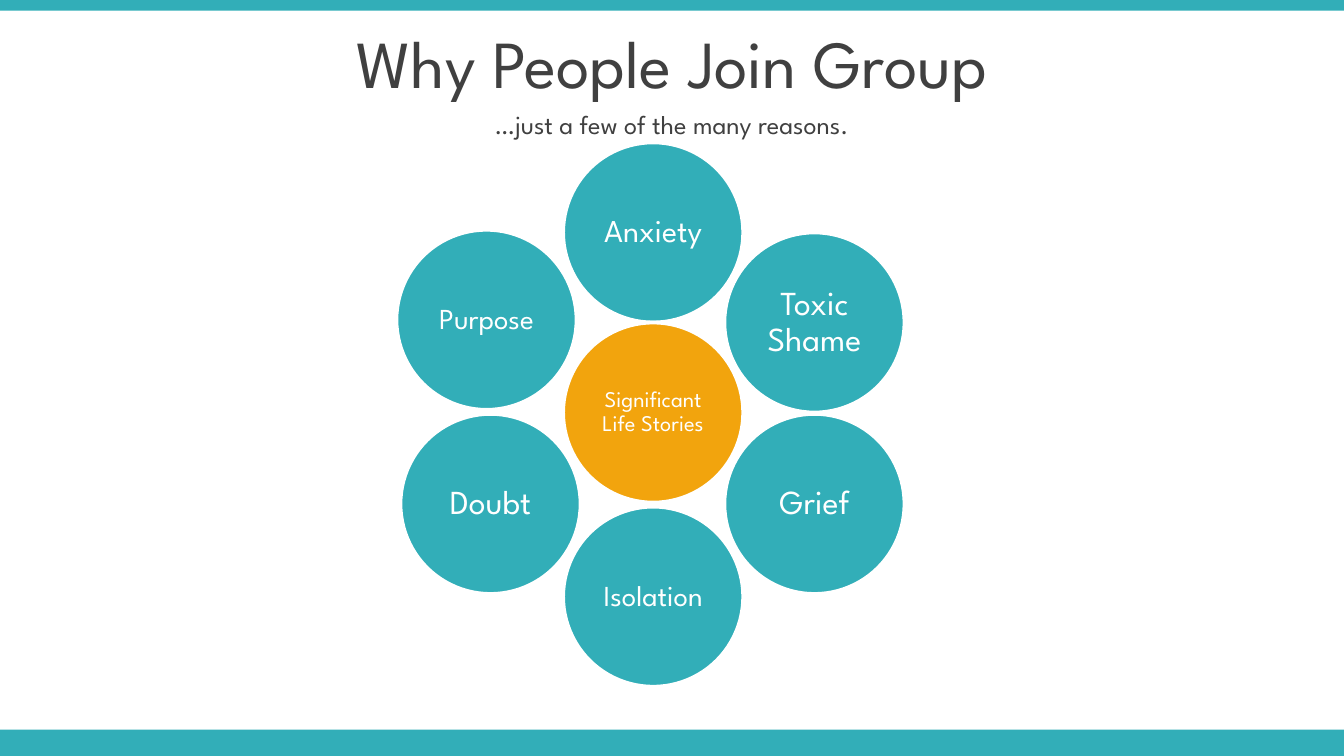
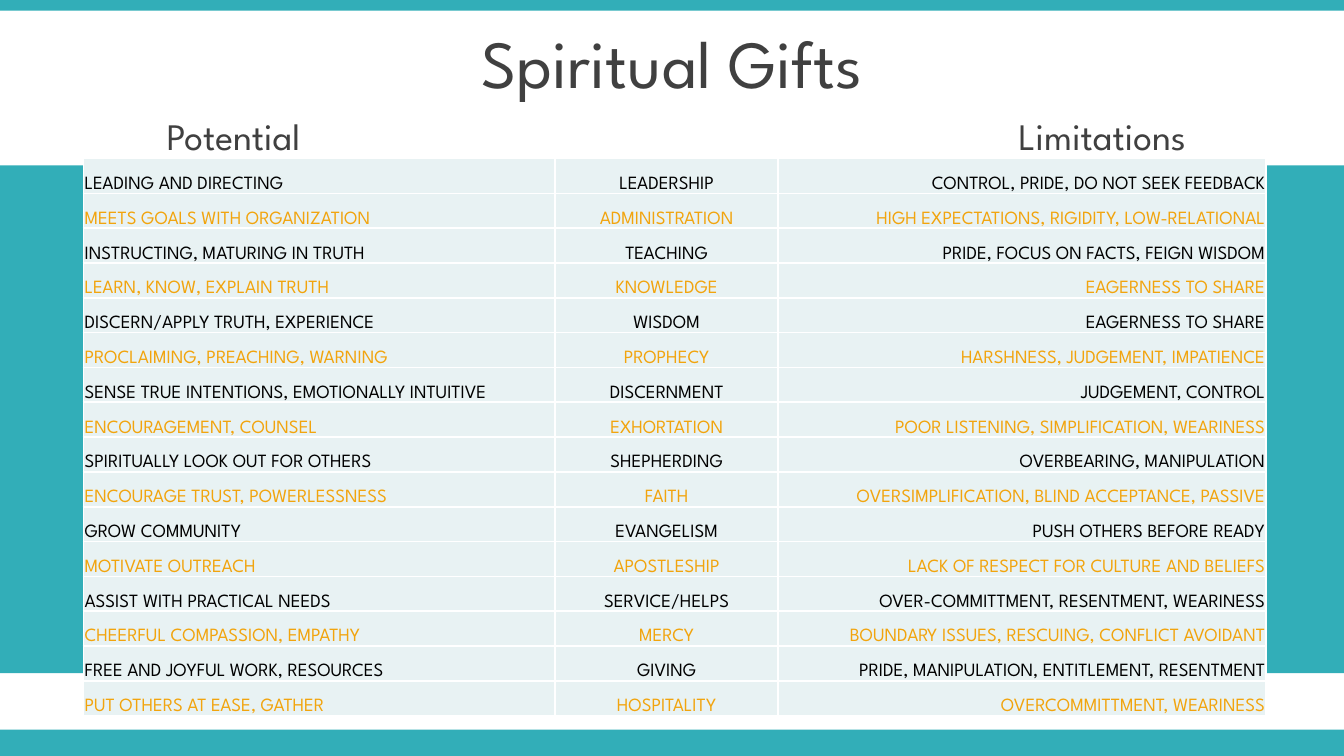
from dataclasses import dataclass

from lxml.etree import SubElement
from pptx import Presentation
from pptx.dml.color import RGBColor
from pptx.enum.shapes import MSO_SHAPE as Preset
from pptx.enum.text import MSO_ANCHOR as Anchor, MSO_AUTO_SIZE as AutoSize, PP_ALIGN as Align
from pptx.oxml.ns import qn
from pptx.util import Inches, Pt


@dataclass(frozen=True)
class Theme:
    font: str = "League Spartan"
    teal: str = "32AEB8"
    orange: str = "F2A40D"
    gray: str = "404040"
    black: str = "000000"
    white: str = "FFFFFF"
    pale: str = "E8F2F3"
    title_size: float = 36
    heading_size: float = 20
    subtitle_size: float = 14
    table_size: float = 10


THEME = Theme()
WIDTH = 10
HEIGHT = WIDTH * 9 / 16
CIRCLE_SIZE = 1.34

REASONS = [
    ("Anxiety", 4.19, 1.06, 17, THEME.teal),
    ("Toxic Shame", 5.39, 1.73, 18, THEME.teal),
    ("Grief", 5.39, 3.08, 18, THEME.teal),
    ("Doubt", 2.98, 3.08, 18, THEME.teal),
    ("Purpose", 2.95, 1.71, 15.5, THEME.teal),
    ("Significant Life Stories", 4.19, 2.4, 12, THEME.orange),
    ("Isolation", 4.19, 3.77, 15.5, THEME.teal),
]

GIFTS = [
    ("LEADING AND DIRECTING", "LEADERSHIP", "CONTROL, PRIDE, DO NOT SEEK FEEDBACK"),
    ("MEETS GOALS WITH ORGANIZATION", "ADMINISTRATION", "HIGH EXPECTATIONS, RIGIDITY, LOW-RELATIONAL"),
    ("INSTRUCTING, MATURING IN TRUTH", "TEACHING", "PRIDE, FOCUS ON FACTS, FEIGN WISDOM"),
    ("LEARN, KNOW, EXPLAIN TRUTH", "KNOWLEDGE", "EAGERNESS TO SHARE"),
    ("DISCERN/APPLY TRUTH, EXPERIENCE", "WISDOM", "EAGERNESS TO SHARE"),
    ("PROCLAIMING, PREACHING, WARNING", "PROPHECY", "HARSHNESS, JUDGEMENT, IMPATIENCE"),
    ("SENSE TRUE INTENTIONS, EMOTIONALLY INTUITIVE", "DISCERNMENT", "JUDGEMENT, CONTROL"),
    ("ENCOURAGEMENT, COUNSEL", "EXHORTATION", "POOR LISTENING, SIMPLIFICATION, WEARINESS"),
    ("SPIRITUALLY LOOK OUT FOR OTHERS", "SHEPHERDING", "OVERBEARING, MANIPULATION"),
    ("ENCOURAGE TRUST, POWERLESSNESS", "FAITH", "OVERSIMPLIFICATION, BLIND ACCEPTANCE, PASSIVE"),
    ("GROW COMMUNITY", "EVANGELISM", "PUSH OTHERS BEFORE READY"),
    ("MOTIVATE OUTREACH", "APOSTLESHIP", "LACK OF RESPECT FOR CULTURE AND BELIEFS"),
    ("ASSIST WITH PRACTICAL NEEDS", "SERVICE/HELPS", "OVER-COMMITTMENT, RESENTMENT, WEARINESS"),
    ("CHEERFUL COMPASSION, EMPATHY", "MERCY", "BOUNDARY ISSUES, RESCUING, CONFLICT AVOIDANT"),
    ("FREE AND JOYFUL WORK, RESOURCES", "GIVING", "PRIDE, MANIPULATION, ENTITLEMENT, RESENTMENT"),
    ("PUT OTHERS AT EASE, GATHER", "HOSPITALITY", "OVERCOMMITTMENT, WEARINESS"),
]


def set_attributes(target, **values):
    for name, value in values.items():
        setattr(target, name, value)


def box(left, top, width, height):
    return [Inches(length) for length in (left, top, width, height)]


def write(frame, text, size, color, align=Align.CENTER, line_spacing=None):
    paragraph = frame.paragraphs[0]
    set_attributes(paragraph, alignment=align, line_spacing=line_spacing)
    run = paragraph.add_run()
    run.text = text
    set_attributes(run.font, name=THEME.font, size=Pt(size))
    run.font.color.rgb = RGBColor.from_string(color)


def add_filled(slide, preset, place, color):
    shape = slide.shapes.add_shape(preset, *box(*place))
    shape.shadow.inherit = False
    shape.fill.solid()
    shape.fill.fore_color.rgb = RGBColor.from_string(color)
    shape.line.fill.background()
    return shape


def add_master_bands(slide, master):
    for place in ((0, 5.43, WIDTH, 0.2), (0, 0, WIDTH, 0.08)):
        band = add_filled(slide, Preset.RECTANGLE, place, THEME.teal)
        master.shapes.element.append(band.element)


def add_titled_slide(presentation, text):
    slide = presentation.slides.add_slide(presentation.slide_layouts[5])
    title = slide.shapes.title
    left, top, width, height = box(0, 0.14, WIDTH, 0.63)
    set_attributes(title, left=left, top=top, width=width, height=height)
    set_attributes(title.text_frame, vertical_anchor=Anchor.MIDDLE, auto_size=AutoSize.NONE)
    write(title.text_frame, text, THEME.title_size, THEME.gray)
    return slide


def add_text(slide, place, text, size, **options):
    frame = slide.shapes.add_textbox(*box(*place)).text_frame
    set_attributes(frame, word_wrap=True, vertical_anchor=Anchor.MIDDLE)
    write(frame, text, size, THEME.gray, **options)
    return frame


def add_column_headings(slide, left_heading, right_heading):
    frame = add_text(slide, (0.04, 0.69, WIDTH, 0.63), f"{left_heading}\t{right_heading}",
                     THEME.heading_size, align=Align.LEFT)
    frame.margin_left = Inches(1.2)
    properties = frame.paragraphs[0]._p.get_or_add_pPr()
    tabs = SubElement(properties, qn("a:tabLst"))
    SubElement(tabs, qn("a:tab"), pos=str(Inches(6.34)), algn="l")


def add_circle(slide, text, left, top, size, color):
    circle = add_filled(slide, Preset.OVAL, (left, top, CIRCLE_SIZE, CIRCLE_SIZE), color)
    circle.line.color.rgb = RGBColor.from_string(THEME.white)
    circle.line.width = Pt(2)
    inset = Inches(0.04)
    set_attributes(circle.text_frame, word_wrap=True, vertical_anchor=Anchor.MIDDLE,
                   margin_left=inset, margin_right=inset, margin_top=inset, margin_bottom=inset)
    write(circle.text_frame, text, size, THEME.white, line_spacing=0.9)


def add_cell_borders(cell):
    properties = cell._tc.get_or_add_tcPr()
    for side in ("lnL", "lnR", "lnT", "lnB"):
        line = SubElement(properties, qn(f"a:{side}"), w=str(Pt(1)))
        fill = SubElement(line, qn("a:solidFill"))
        SubElement(fill, qn("a:srgbClr"), val=THEME.white)


def fill_cell(cell, text, color, align):
    add_cell_borders(cell)
    cell.fill.solid()
    cell.fill.fore_color.rgb = RGBColor.from_string(THEME.pale)
    inset = Inches(0.01)
    set_attributes(cell, vertical_anchor=Anchor.BOTTOM, margin_left=inset,
                   margin_right=inset, margin_top=inset, margin_bottom=0)
    write(cell.text_frame, text, THEME.table_size, color, align)


def add_gifts_table(slide, rows):
    widths = (3.51, 1.66, 3.63)
    aligns = (Align.LEFT, Align.CENTER, Align.RIGHT)
    place = box(0.62, 1.18, sum(widths), 4.15)
    table = slide.shapes.add_table(len(rows), len(widths), *place).table
    set_attributes(table, first_row=False, horz_banding=False)
    for column, width in zip(table.columns, widths):
        column.width = Inches(width)
    for index, texts in enumerate(rows):
        color = THEME.orange if index % 2 else THEME.black
        for cell, text, align in zip(table.rows[index].cells, texts, aligns):
            fill_cell(cell, text, color, align)


def build_reasons_slide(presentation):
    slide = add_titled_slide(presentation, "Why People Join Group")
    add_master_bands(slide, presentation.slide_master)
    add_text(slide, (0, 0.77, WIDTH, 0.31), "…just a few of the many reasons.", THEME.subtitle_size)
    for reason in REASONS:
        add_circle(slide, *reason)


def build_gifts_slide(presentation):
    slide = add_titled_slide(presentation, "Spiritual Gifts")
    add_filled(slide, Preset.RECTANGLE, (0, 1.23, WIDTH, 3.78), THEME.teal)
    add_gifts_table(slide, GIFTS)
    add_column_headings(slide, "Potential", "Limitations")


def main():
    presentation = Presentation()
    set_attributes(presentation, slide_width=Inches(WIDTH), slide_height=Inches(HEIGHT))
    build_reasons_slide(presentation)
    build_gifts_slide(presentation)
    presentation.save("out.pptx")


if __name__ == "__main__":
    main()
